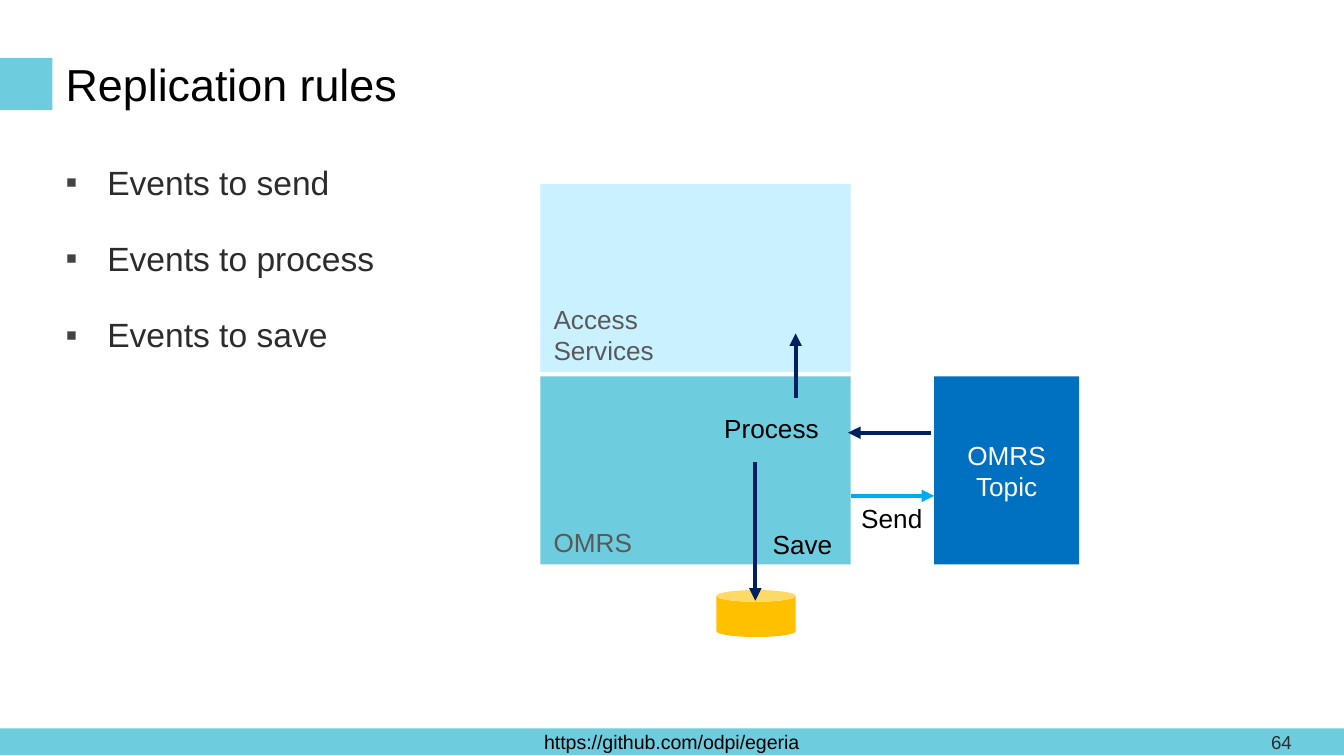
from lxml import etree
from pptx import Presentation
from pptx.dml.color import RGBColor
from pptx.enum.shapes import MSO_CONNECTOR, MSO_SHAPE
from pptx.enum.text import MSO_ANCHOR, PP_ALIGN
from pptx.oxml.ns import qn
from pptx.util import Inches, Pt

RECT, CAN = MSO_SHAPE.RECTANGLE, MSO_SHAPE.CAN
STRAIGHT = MSO_CONNECTOR.STRAIGHT
TOP, MIDDLE, BOTTOM = MSO_ANCHOR.TOP, MSO_ANCHOR.MIDDLE, MSO_ANCHOR.BOTTOM
LEFT, CENTER = PP_ALIGN.LEFT, PP_ALIGN.CENTER

BLACK, WHITE, GREY, DARK = "000000", "FFFFFF", "595959", "2C2C2C"
TEAL, NAVY, CYAN = "6DCCDE", "002060", "00ACEB"

TITLE = "Replication rules"
BULLETS = ["Events to send", "Events to process", "Events to save"]
FOOTER = "https://github.com/odpi/egeria"
PAGE = "64"

# Diagram grid: services above OMRS, topic to the right, store below
STACK_X, STACK_W, BOX_H = 4.02, 2.31, 1.4
SERVICES_Y, OMRS_Y = 1.37, 2.8
TOPIC_X, TOPIC_W = 6.95, 1.08
STACK_RIGHT = STACK_X + STACK_W

# text, position, fill, font colour, anchor, alignment
BOXES = [
    ("Access\nServices", (STACK_X, SERVICES_Y, STACK_W, BOX_H), "C9F1FF", GREY, BOTTOM, LEFT),
    ("OMRS", (STACK_X, OMRS_Y, STACK_W, BOX_H), TEAL, GREY, BOTTOM, LEFT),
    ("OMRS Topic", (TOPIC_X, OMRS_Y, TOPIC_W, BOX_H), "0070C0", WHITE, MIDDLE, CENTER),
]
STORE = (5.33, 4.39, 0.59, 0.35)
# start, end, colour
ARROWS = [
    ((5.92, 2.96), (5.92, 2.48), NAVY),
    ((STACK_RIGHT, 3.69), (TOPIC_X, 3.69), CYAN),
    ((6.93, 3.22), (6.31, 3.22), NAVY),
    ((5.62, 3.44), (5.62, 4.47), NAVY),
]
LABELS = [
    ("Save", (5.65, 3.88, 0.65, 0.34)),
    ("Process", (5.29, 3.02, 0.91, 0.34)),
    ("Send", (6.31, 3.69, 0.66, 0.34)),
]


def rgb(color):
    return RGBColor.from_string(color)


def write(sp, text, size, color, anchor=TOP, align=LEFT, wrap=True, inset=0.05):
    """Fill a shape with text; inset is the top and bottom margin."""
    tf = sp.text_frame
    tf.text = text
    tf.word_wrap = wrap
    tf.vertical_anchor = anchor
    tf.margin_top = tf.margin_bottom = Inches(inset)
    for p in tf.paragraphs:
        p.alignment = align
        for r in p.runs:
            r.font.name = "Arial"
            r.font.size = Pt(size)
            r.font.color.rgb = rgb(color)
    return tf


def add_block(shapes, box, fill, kind=RECT):
    sp = shapes.add_shape(kind, *map(Inches, box))
    sp.shadow.inherit = False
    sp.fill.solid()
    sp.fill.fore_color.rgb = rgb(fill)
    sp.line.fill.background()
    return sp


def add_text(shapes, box, *args, **kwargs):
    return write(shapes.add_textbox(*map(Inches, box)), *args, **kwargs)


def add_arrow(shapes, start, end, color):
    line = shapes.add_connector(STRAIGHT, *map(Inches, start + end))
    line.line.color.rgb = rgb(color)
    line.line.width = Pt(2.25)
    ln = line._element.spPr.find(qn("a:ln"))
    etree.SubElement(ln, qn("a:tailEnd"), type="triangle")
    etree.SubElement(line._element.spPr, qn("a:effectLst"))


def add_bullet(p):
    pPr = p._p.get_or_add_pPr()
    pPr.set("marL", str(Inches(0.31)))
    pPr.set("indent", str(-Inches(0.31)))
    color = etree.SubElement(pPr, qn("a:buClr"))
    etree.SubElement(color, qn("a:srgbClr"), val="434343")
    etree.SubElement(pPr, qn("a:buFont"), typeface="Arial")
    etree.SubElement(pPr, qn("a:buChar"), char="▪")
    p.line_spacing = 1.15
    p.space_after = Pt(16)


prs = Presentation()
prs.slide_width = Inches(10)
prs.slide_height = prs.slide_width * 9 // 16
s = prs.slides.add_slide(prs.slide_layouts[6])
shapes = s.shapes

footer = add_block(shapes, (0, 5.42, 10, 0.2), TEAL)
write(footer, FOOTER, 10.5, BLACK, MIDDLE, CENTER)
add_block(shapes, (0, 0.43, 0.39, 0.39), TEAL)
add_text(shapes, (0.39, 0.31, 9.27, 0.63), TITLE, 24, BLACK, MIDDLE)
body = add_text(shapes, (0.39, 1.06, 9.27, 3.94), "\n".join(BULLETS), 18, DARK, inset=0.1)
for p in body.paragraphs:
    add_bullet(p)

for text, box, fill, color, anchor, align in BOXES:
    write(add_block(shapes, box, fill), text, 14, color, anchor, align)
add_block(shapes, STORE, "FFC000", CAN)
for start, end, color in ARROWS:
    add_arrow(shapes, start, end, color)
for text, box in LABELS:
    add_text(shapes, box, text, 14, BLACK, wrap=False)
add_text(shapes, (9.36, 5.42, 0.6, 0.2), PAGE, 10, DARK, MIDDLE, inset=0.1)

prs.save("out.pptx")
